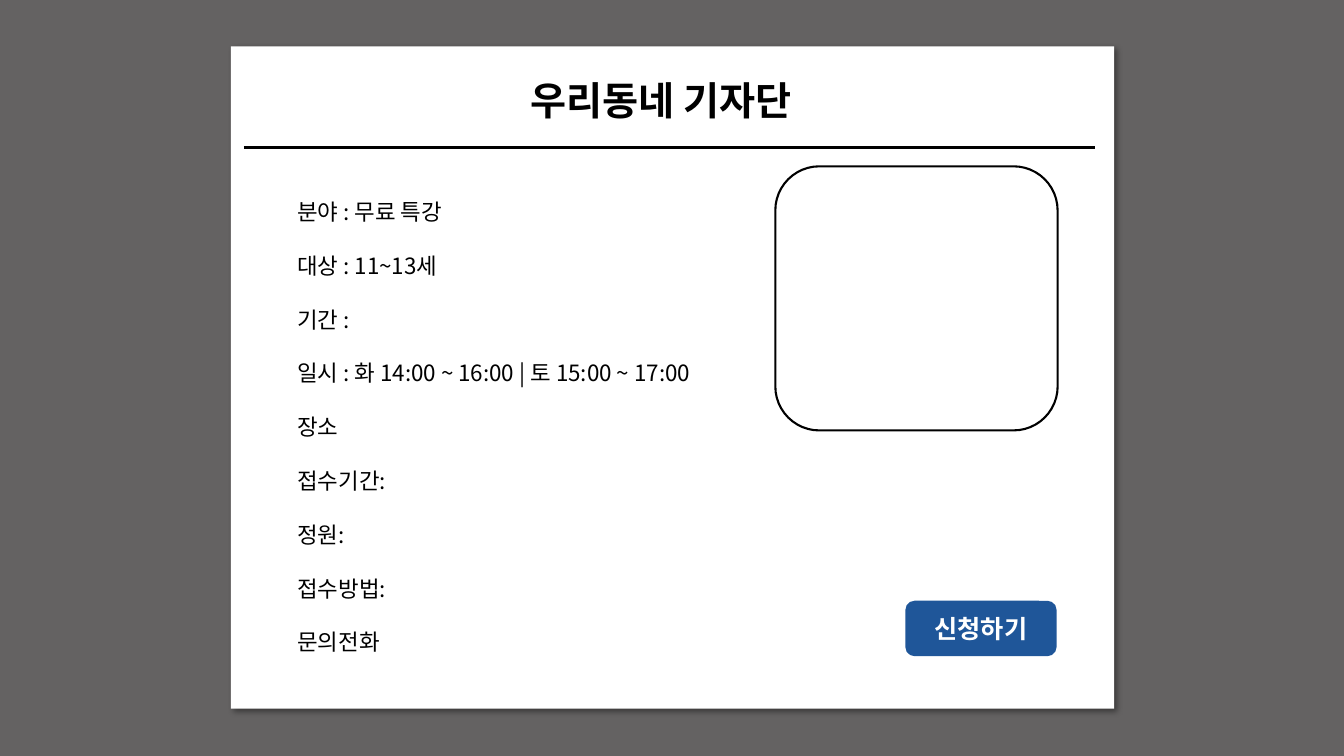
from lxml.etree import SubElement
from pptx import Presentation
from pptx.dml.color import RGBColor
from pptx.enum.shapes import MSO_CONNECTOR as Connector, MSO_SHAPE as Shape
from pptx.enum.text import MSO_ANCHOR as Anchor, MSO_AUTO_SIZE as AutoSize, PP_ALIGN as Align
from pptx.oxml.ns import qn
from pptx.util import Inches, Pt

FONT = "Noto Sans CJK KR"
COLORS = {
    "backdrop": "646262",
    "panel": "FFFFFF",
    "ink": "000000",
    "button": "1F5699",
    "button_text": "FFFFFF",
}
DETAILS = [
    "분야 : 무료 특강",
    "대상 : 11~13세",
    "기간 :",
    "일시 : 화 14:00 ~ 16:00 | 토 15:00 ~ 17:00",
    "장소",
    "접수기간:",
    "정원:",
    "접수방법:",
    "문의전화",
]


def color(name):
    """Return the named colour."""
    return RGBColor.from_string(COLORS[name])


def place(shape, left, top, width, height):
    """Move and size a shape, in inches."""
    shape.left, shape.top = Inches(left), Inches(top)
    shape.width, shape.height = Inches(width), Inches(height)


def add_run(paragraph, text, size, color_name="ink", bold=False):
    """Add a formatted run to a paragraph."""
    run = paragraph.add_run()
    run.text = text
    run.font.name = FONT
    run.font.size = Pt(size)
    run.font.bold = bold
    run.font.color.rgb = color(color_name)
    SubElement(run.font._element, qn("a:ea"), typeface=FONT)


def fill_placeholder(shape, lines, size, spacing, bold=False):
    """Write unbulleted lines, left aligned from the top of a placeholder."""
    frame = shape.text_frame
    frame.word_wrap = True
    frame.auto_size = AutoSize.NONE
    frame.vertical_anchor = Anchor.TOP
    for index, line in enumerate(lines):
        paragraph = frame.add_paragraph() if index else frame.paragraphs[0]
        paragraph.alignment = Align.LEFT
        paragraph.line_spacing = Pt(spacing)
        paragraph.space_before = Pt(0)
        properties = paragraph._p.get_or_add_pPr()
        properties.set("marL", "0")
        properties.set("indent", "0")
        SubElement(properties, qn("a:buNone"))
        add_run(paragraph, line, size, bold=bold)


def add_box(slide, kind, left, top, width, height, fill=None, line_width=None):
    """Add a preset shape with an optional fill and outline."""
    shape = slide.shapes.add_shape(kind, 0, 0, 0, 0)
    place(shape, left, top, width, height)
    shape.shadow.inherit = False
    if fill:
        shape.fill.solid()
        shape.fill.fore_color.rgb = color(fill)
    else:
        shape.fill.background()
    if line_width:
        shape.line.color.rgb = color("ink")
        shape.line.width = Pt(line_width)
    else:
        shape.line.fill.background()
    return shape


def add_shadow(shape):
    """Give a shape a soft shadow to the lower right."""
    effects = shape._element.spPr.find(qn("a:effectLst"))
    shadow = SubElement(effects, qn("a:outerShdw"), blurRad=str(Pt(4)), dist=str(Pt(3)),
                        dir=str(45 * 60000), algn="tl", rotWithShape="0")
    shade = SubElement(shadow, qn("a:srgbClr"), val=COLORS["ink"])
    SubElement(shade, qn("a:alpha"), val="40000")


def send_to_back(shape):
    """Put a shape behind all others."""
    shape._element.getparent().insert(2, shape._element)


def add_rule(slide, left, right, top):
    """Add the horizontal rule below the title."""
    rule = slide.shapes.add_connector(
        Connector.STRAIGHT, Inches(left), Inches(top), Inches(right), Inches(top))
    rule.line.color.rgb = color("ink")
    rule.line.width = Pt(2.25)
    SubElement(rule._element.spPr, qn("a:effectLst"))


def add_button(slide, label):
    """Add the application button."""
    button = add_box(slide, Shape.ROUNDED_RECTANGLE, 8.98, 5.96, 1.5, 0.55, fill="button")
    button.text_frame.vertical_anchor = Anchor.MIDDLE
    paragraph = button.text_frame.paragraphs[0]
    paragraph.alignment = Align.CENTER
    add_run(paragraph, label, 18, "button_text", bold=True)


def main():
    """Build and save the slide."""
    presentation = Presentation()
    presentation.slide_width, presentation.slide_height = Inches(13.33), Inches(7.5)
    slide = presentation.slides.add_slide(presentation.slide_layouts[1])
    slide.background.fill.solid()
    slide.background.fill.fore_color.rgb = color("backdrop")

    panel = add_box(slide, Shape.RECTANGLE, 2.29, 0.46, 8.76, 6.57, fill="panel")
    add_shadow(panel)
    send_to_back(panel)

    title, details = slide.shapes.title, slide.placeholders[1]
    place(title, 5.16, 0.69, 3.07, 0.57)
    fill_placeholder(title, ["우리동네 기자단"], 28, 35, bold=True)
    add_rule(slide, 2.42, 10.86, 1.46)
    place(details, 2.85, 1.65, 5.38, 4.86)
    fill_placeholder(details, DETAILS, 16, 38.4)

    add_box(slide, Shape.ROUNDED_RECTANGLE, 7.69, 1.65, 2.8, 2.62, line_width=1.5)
    add_button(slide, "신청하기")
    presentation.save("out.pptx")


if __name__ == "__main__":
    main()
